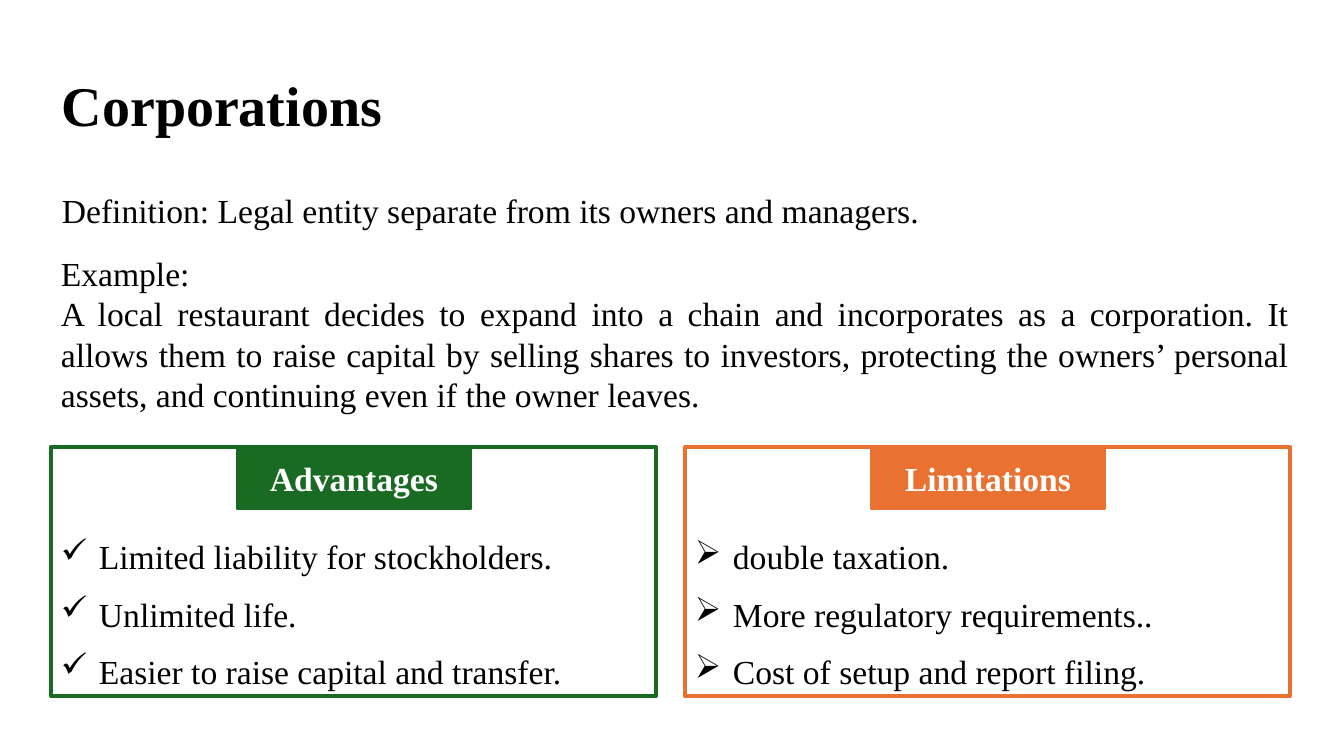
from lxml import etree
from pptx import Presentation
from pptx import util as u
from pptx.dml.color import RGBColor
from pptx.enum import shapes, text
from pptx.oxml.ns import qn

PX_PER_INCH = 100.8
BLACK, WHITE, GREEN, ORANGE = "000000", "FFFFFF", "196B24", "E97132"


def px(n):
    return u.Emu(round(n * 914400 / PX_PER_INCH))


def rgb(value):
    return RGBColor.from_string(value)


class Deck:
    font, size = "Times New Roman", 24

    def __init__(self):
        self.prs = Presentation()
        self.prs.slide_width, self.prs.slide_height = px(1344), px(756)
        self.s = self.prs.slides.add_slide(self.prs.slide_layouts[6])

    def run(self, p, words, color=BLACK, size=None, bold=False):
        r = p.add_run()
        r.text = words
        r.font.name, r.font.size, r.font.bold = self.font, u.Pt(size or self.size), bold
        r.font.color.rgb = rgb(color)

    def paragraph(self, tf, first, align=text.PP_ALIGN.LEFT):
        p = tf.paragraphs[0] if first else tf.add_paragraph()
        p.alignment = align
        return p

    def text_box(self, box, anchor=text.MSO_ANCHOR.TOP):
        tf = self.s.shapes.add_textbox(*map(px, box)).text_frame
        tf.word_wrap, tf.vertical_anchor = True, anchor
        return tf

    def rect(self, box, fill, line, width, anchor):
        sp = self.s.shapes.add_shape(shapes.MSO_SHAPE.RECTANGLE, *map(px, box))
        sp.shadow.inherit = False
        sp.fill.solid()
        sp.fill.fore_color.rgb = rgb(fill)
        sp.line.color.rgb, sp.line.width = rgb(line), u.Pt(width)
        tf = sp.text_frame
        tf.word_wrap, tf.vertical_anchor = True, anchor
        return tf

    def bullet(self, p, mark):
        pPr = p._p.get_or_add_pPr()
        pPr.set("marL", str(px(38)))
        pPr.set("indent", str(-px(38)))
        etree.SubElement(pPr, qn("a:buChar")).set("char", mark)

    def card(self, left, heading, color, mark, items):
        """Framed list, resting on the lower edge, with a heading tab at the top."""
        top = 447
        tf = self.rect((left, top, 605, 249), WHITE, color, 3, text.MSO_ANCHOR.BOTTOM)
        for i, item in enumerate(items):
            p = self.paragraph(tf, i == 0)
            self.bullet(p, mark)
            if i:
                p.space_before = u.Pt(6)
            p.space_after = u.Pt(6)
            self.run(p, item)
        tab = self.rect((left + 186, top, 234, 62), color, color, 1.5, text.MSO_ANCHOR.MIDDLE)
        p = self.paragraph(tab, True, text.PP_ALIGN.CENTER)
        self.run(p, heading, WHITE, bold=True)


def main():
    d = Deck()
    p = d.paragraph(d.text_box((52, 60, 1199, 84), text.MSO_ANCHOR.BOTTOM), True)
    p.line_spacing = 0.9
    d.run(p, "Corporations", size=40, bold=True)

    p = d.paragraph(d.text_box((52, 185, 1247, 50)), True)
    d.run(p, "Definition: Legal entity separate from its owners and managers.")

    example = d.text_box((51, 248, 1248, 173))
    d.run(d.paragraph(example, True), "Example:")
    d.run(d.paragraph(example, False, text.PP_ALIGN.JUSTIFY),
          "A local restaurant decides to expand into a chain and incorporates as a "
          "corporation. It allows them to raise capital by selling shares to investors, "
          "protecting the owners’ personal assets, and continuing even if the owner leaves.")

    d.card(51, "Advantages", GREEN, "✓",
           ["Limited liability for stockholders.", "Unlimited life.",
            "Easier to raise capital and transfer."])
    d.card(685, "Limitations", ORANGE, "➢",
           ["double taxation.", "More regulatory requirements..",
            "Cost of setup and report filing."])
    d.prs.save("out.pptx")


if __name__ == "__main__":
    main()
